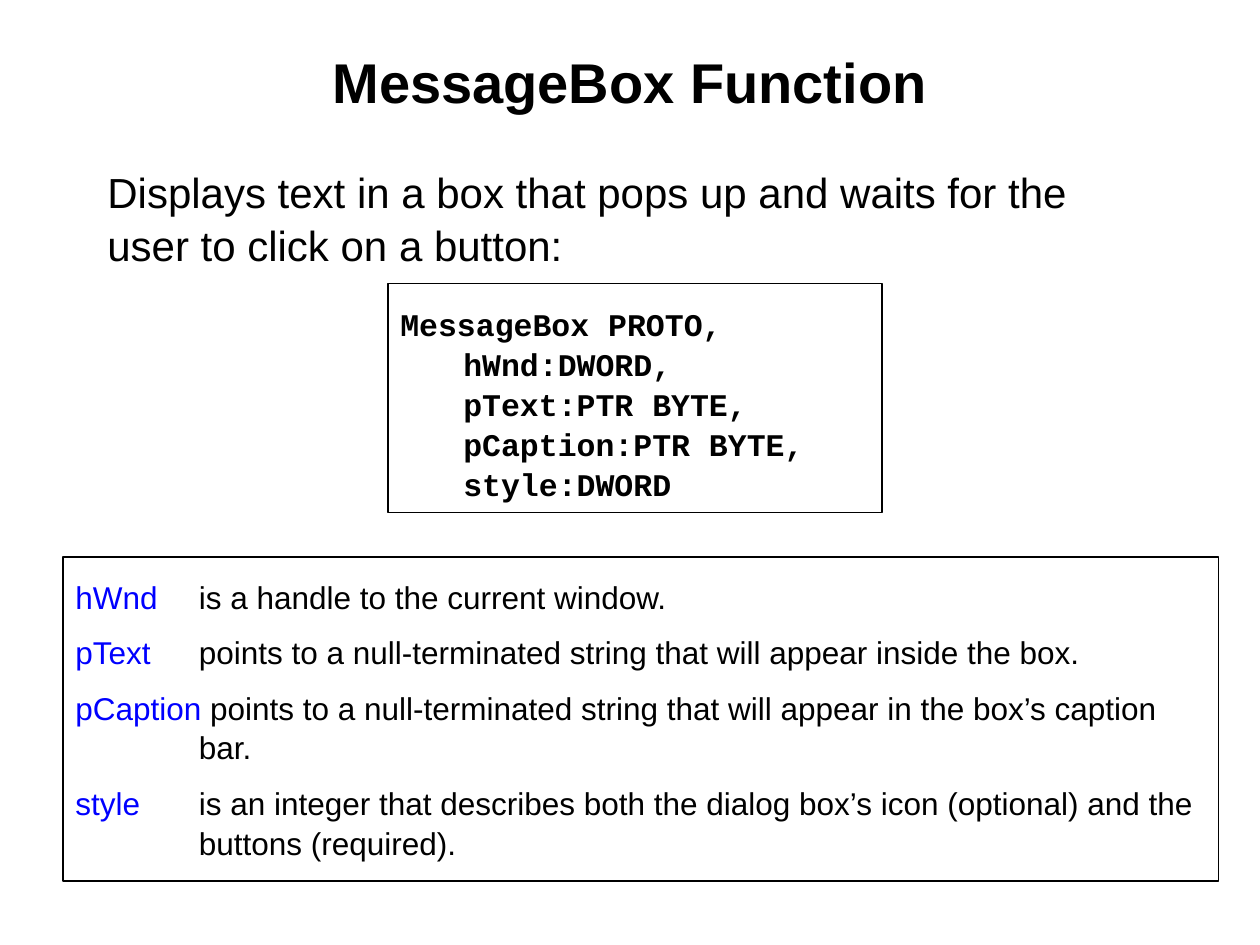
from lxml.etree import SubElement
from pptx import Presentation
from pptx.dml.color import RGBColor as RGB
from pptx.enum.shapes import MSO_SHAPE as SHAPE
from pptx.enum.text import MSO_ANCHOR as ANCHOR, MSO_AUTO_SIZE as FIT, PP_ALIGN as ALIGN
from pptx.oxml.ns import qn
from pptx.util import Cm, Pt

COLORS = {"black": "000000", "white": "FFFFFF", "blue": "0000FF"}
TITLE_FMT = {"name": "Arial", "size": Pt(32), "bold": True}
BODY_FMT = {"name": "Arial", "size": Pt(24), "bold": False}
CODE_FMT = {"name": "Courier New", "size": Pt(18), "bold": True}
NOTE_FMT = {"name": "Arial", "size": Pt(18), "bold": False}

PROTOTYPE = [
    "MessageBox PROTO,",
    "\thWnd:DWORD,",
    "\tpText:PTR BYTE,",
    "\tpCaption:PTR BYTE,",
    "\tstyle:DWORD",
]
PARAMETERS = [
    ("hWnd", "\tis a handle to the current window."),
    ("pText", "\tpoints to a null-terminated string that will appear inside the box."),
    ("pCaption", " points to a null-terminated string that will appear in the box’s caption bar."),
    ("style", "\tis an integer that describes both the dialog box’s icon (optional) "
              "and the buttons (required)."),
]


def color(name):
    return RGB.from_string(COLORS[name])


def add_run(p, text, fmt, color_name="black"):
    r = p.add_run()
    r.text = text
    for key, value in fmt.items():
        setattr(r.font, key, value)
    r.font.color.rgb = color(color_name)


def add_paragraph(tf, index):
    return tf.paragraphs[0] if index == 0 else tf.add_paragraph()


def set_indent(p, left, first, tab=None):
    pPr = p._p.get_or_add_pPr()
    pPr.set("marL", str(Cm(left)))
    pPr.set("indent", str(Cm(first)))
    if tab:
        tabs = SubElement(pPr, qn("a:tabLst"))
        SubElement(tabs, qn("a:tab"), pos=str(Cm(tab)), algn="l")
    return pPr


def place(sp, box):
    sp.left, sp.top, sp.width, sp.height = (Cm(v) for v in box)


def fill_title(sp, box, text):
    place(sp, box)
    tf = sp.text_frame
    tf.auto_size, tf.vertical_anchor = FIT.NONE, ANCHOR.MIDDLE
    p = tf.paragraphs[0]
    p.alignment = ALIGN.CENTER
    add_run(p, text, TITLE_FMT)


def fill_body(sp, box, text):
    place(sp, box)
    tf = sp.text_frame
    tf.auto_size = FIT.NONE
    p = tf.paragraphs[0]
    p.space_before, p.line_spacing = Pt(0), 1.05
    SubElement(set_indent(p, 0, 0), qn("a:buNone"))
    add_run(p, text, BODY_FMT)


def add_panel(slide, box, filled):
    sp = slide.shapes.add_shape(SHAPE.RECTANGLE, *(Cm(v) for v in box))
    sp.shadow.inherit = False
    if filled:
        sp.fill.solid()
        sp.fill.fore_color.rgb = color("white")
    else:
        sp.fill.background()
    sp.line.color.rgb = color("black")
    sp.line.width = Pt(0.75)
    tf = sp.text_frame
    frame = {"word_wrap": True, "vertical_anchor": ANCHOR.TOP,
             "margin_left": Cm(0.25), "margin_right": Cm(0.25),
             "margin_top": Cm(0.38), "margin_bottom": Cm(0.38)}
    for key, value in frame.items():
        setattr(tf, key, value)
    return tf


def add_code(slide, box, lines):
    tf = add_panel(slide, box, filled=True)
    for i, line in enumerate(lines):
        p = add_paragraph(tf, i)
        p.alignment, p.line_spacing = ALIGN.LEFT, 1.06
        set_indent(p, 0, 0, tab=1.27)
        add_run(p, line, CODE_FMT)


def add_parameters(slide, box, parameters):
    tf = add_panel(slide, box, filled=False)
    for i, (name, meaning) in enumerate(parameters):
        p = add_paragraph(tf, i)
        p.alignment, p.line_spacing = ALIGN.LEFT, 1.05
        p.space_before = Pt(9 if i else 0)
        set_indent(p, 2.49, -2.49, tab=2.49)
        add_run(p, name, NOTE_FMT, "blue")
        add_run(p, meaning, NOTE_FMT)


def main():
    prs = Presentation()
    prs.slide_width, prs.slide_height = Cm(25.4), Cm(19.05)
    slide = prs.slides.add_slide(prs.slide_layouts[1])
    fill_title(slide.shapes.title, (1.27, 0.43, 22.86, 2.41), "MessageBox Function")
    fill_body(slide.placeholders[1], (1.91, 3.18, 21.59, 2.54),
              "Displays text in a box that pops up and waits for the user to click on a button:")
    add_code(slide, (7.82, 5.72, 9.96, 4.62), PROTOTYPE)
    add_parameters(slide, (1.27, 11.23, 23.29, 6.53), PARAMETERS)
    prs.save("out.pptx")


if __name__ == "__main__":
    main()
